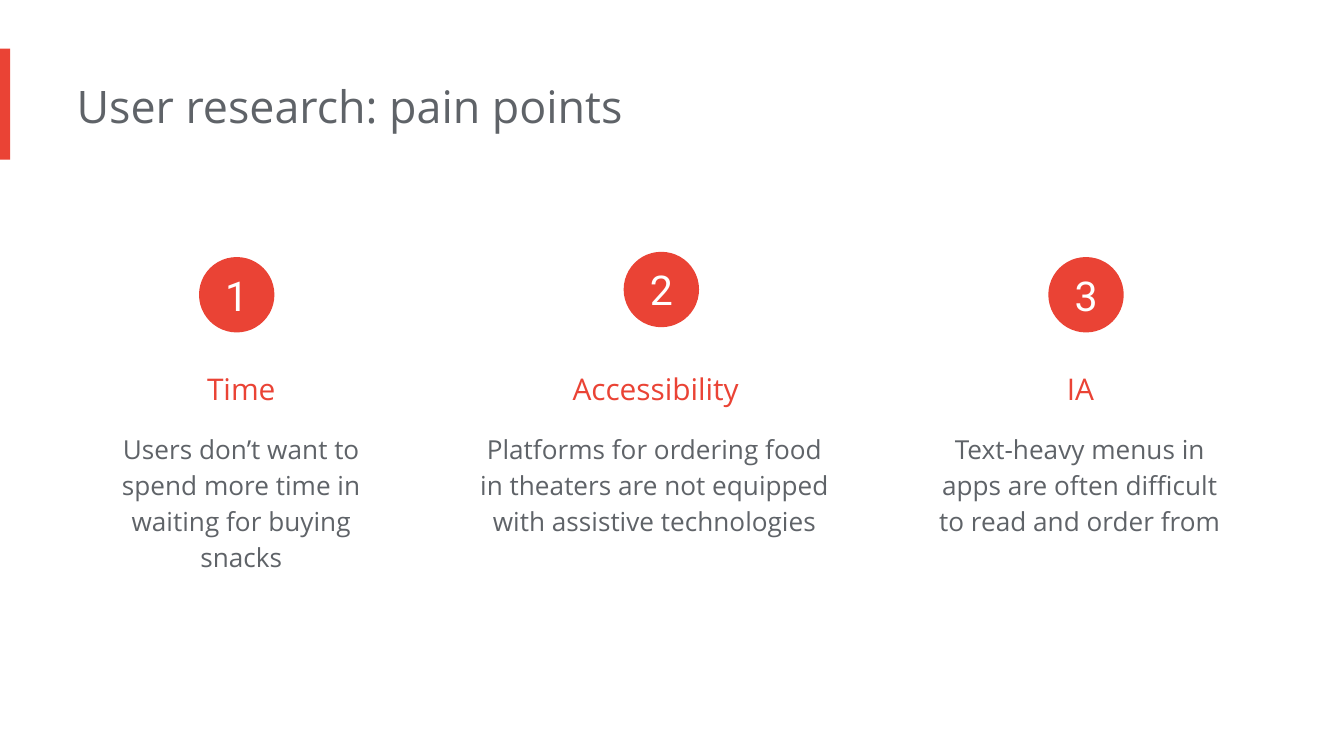
from pptx import Presentation
from pptx.dml.color import RGBColor
from pptx.enum.shapes import MSO_SHAPE
from pptx.enum.text import MSO_ANCHOR, MSO_AUTO_SIZE, PP_ALIGN
from pptx.util import Pt

RECT, OVAL = MSO_SHAPE.RECTANGLE, MSO_SHAPE.OVAL
TOP, MIDDLE = MSO_ANCHOR.TOP, MSO_ANCHOR.MIDDLE
LEFT, CENTER = PP_ALIGN.LEFT, PP_ALIGN.CENTER
FIXED = MSO_AUTO_SIZE.NONE

COLORS = {"red": "EA4335", "gray": "5F6368", "white": "FFFFFF"}


def write(shape, text, size, color, font="Open Sans", align=CENTER,
          spacing=1.0, anchor=TOP, pad=7.2):
    """Set one formatted paragraph; pad applies to all sides but the left."""
    frame = shape.text_frame
    frame.auto_size = FIXED
    frame.word_wrap = True
    frame.vertical_anchor = anchor
    frame.margin_left = 0
    frame.margin_top = frame.margin_right = frame.margin_bottom = Pt(pad)
    para = frame.paragraphs[0]
    para.alignment = align
    para.line_spacing = spacing
    run = para.add_run()
    run.text = text
    run.font.size = Pt(size)
    run.font.name = font
    run.font.color.rgb = RGBColor.from_string(COLORS[color])


def draw(kind, left, top, width, height):
    """Add a plain red shape without outline or shadow."""
    shape = slide.shapes.add_shape(kind, Pt(left), Pt(top), Pt(width), Pt(height))
    shape.shadow.inherit = False
    shape.fill.solid()
    shape.fill.fore_color.rgb = RGBColor.from_string(COLORS["red"])
    shape.line.fill.background()
    return shape


deck = Presentation()
deck.slide_width, deck.slide_height = Pt(720), Pt(405)
slide = deck.slides.add_slide(deck.slide_layouts[5])

draw(RECT, 0, 26, 5.5, 59.5)

title = slide.shapes.title
title.left, title.top, title.width, title.height = Pt(41), Pt(35), Pt(485), Pt(44)
write(title, "User research: pain points", 24, "gray", align=LEFT)

# heading, its left, body text, its left and width, circle top
points = [
    ("Time", 59,
     "Users don’t want to spend more time in waiting for buying snacks",
     59, 147.6, 137.7),
    ("Accessibility", 281,
     "Platforms for ordering food in theaters are not equipped "
     "with assistive technologies",
     257, 194.5, 134.9),
    ("IA", 508.5,
     "Text-heavy menus in apps are often difficult to read and order from",
     502.5, 159, 137.7),
]

for i, (head, x, body, left, width, top) in enumerate(points):
    box = slide.shapes.add_textbox(Pt(x), Pt(182), Pt(147.6), Pt(34))
    write(box, head, 16, "red", spacing=1.5)

    box = slide.shapes.add_textbox(Pt(left), Pt(222.5), Pt(width), Pt(93))
    write(box, body, 14, "gray", spacing=1.15)

    disc = draw(OVAL, 106.6 + i * 227.5, top, 40.4, 40.4)
    write(disc, str(i + 1), 22, "white", font="Roboto", anchor=MIDDLE, pad=0)

deck.save("out.pptx")
